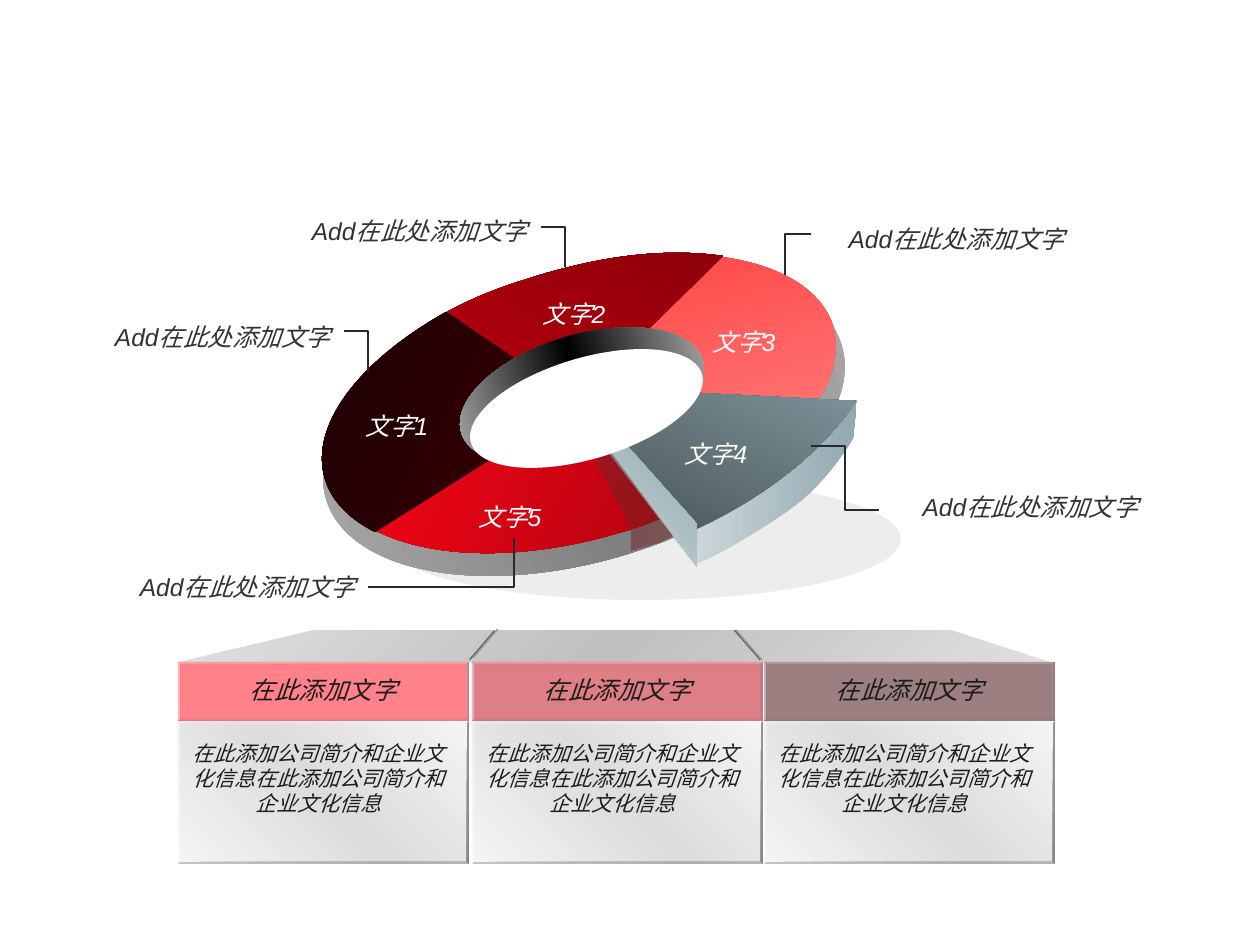
from math import cos, radians, sin

from lxml.etree import SubElement
from pptx import Presentation
from pptx.dml.color import RGBColor
from pptx.enum.shapes import MSO_CONNECTOR, MSO_SHAPE
from pptx.enum.text import MSO_AUTO_SIZE, PP_ALIGN
from pptx.oxml.ns import qn
from pptx.util import Pt

PIXEL = 914400 / 126
COLORS = {
    "shadow": "DDDDDD", "rim": "AEAEAE", "rim mid": "808080",
    "blue": "2791BB", "black": "000000", "white": "FFFFFF",
    "coral": "FF3B3B", "pink": "FF8282", "scarlet": "FF0517", "crimson": "B20310",
    "red": "BC000D", "dark red": "880009", "maroon": "3A0004", "deep maroon": "1B0002",
    "slate": "434E51", "steel": "90A8B0", "mist": "CDD7DB",
    "hole": "C1C1C1", "shade": "702424",
    "panel": "F4F4F4", "top": "DFDFDF", "top mid": "C0C0C0",
    "slice text": "FEFEFE", "label text": "333333", "panel text": "1C1C1C",
    "leader": "292929", "edge": "969696",
}


def emu(*lengths):
    return [round(length * PIXEL) for length in lengths]


def paint(shape, tones, angle=0, alpha=100):
    """Fill with one colour or with evenly spaced stops; no line, no shadow."""
    shape.shadow.inherit = False
    shape.line.fill.background()
    if len(tones) == 1:
        shape.fill.solid()
        shape.fill.fore_color.rgb = RGBColor.from_string(COLORS[tones[0]])
        tint = shape._element.spPr.find(".//" + qn("a:srgbClr"))
        if alpha < 100:
            SubElement(tint, qn("a:alpha"), val=str(alpha * 1000))
        return
    shape.fill.gradient()
    shape.fill.gradient_angle = (360 - angle) % 360
    stops = shape._element.spPr.find(".//" + qn("a:gsLst"))
    for stop in list(stops):
        stops.remove(stop)
    for index, tone in enumerate(tones):
        position = 100000 * index // (len(tones) - 1)
        stop = SubElement(stops, qn("a:gs"), pos=str(position))
        SubElement(stop, qn("a:srgbClr"), val=COLORS[tone])


deck = Presentation()
deck.slide_width, deck.slide_height = emu(1260, 945)
page = deck.slides.add_slide(deck.slide_layouts[6])
shapes = page.shapes

# Ring: a 4-tuple is an ellipse, a list is an outline whose
# 2-tuples are corners and 6-tuples are Bezier curves
TILT = 343.4
ring = [
    ((382, 478, 519, 122), 0, ["shadow"], 0, 50),
    ((315, 284, 538, 277), TILT, ["rim", "rim mid", "rim"], 0, 100),
    ((321, 269, 517, 266), TILT, ["blue", "black"], 315, 100),
    # Slices 3, 5, 2 and 1
    ([(703, 255), (772, 260, 820, 286, 833, 326), (840, 352, 833, 381, 811, 411),
      (578, 403)], TILT, ["coral", "pink"], 90, 100),
    ([(334, 493), (369, 554, 491, 571, 619, 533), (634, 529, 648, 524, 662, 518),
      (581, 403)], TILT, ["crimson", "scarlet"], 225, 100),
    ([(428, 323), (461, 302, 500, 286, 541, 275), (605, 255, 669, 248, 723, 256),
      (577, 399)], TILT, ["red", "dark red"], 315, 100),
    ([(446, 312), (357, 362, 309, 427, 325, 479), (331, 500, 349, 519, 375, 532),
      (580, 403)], TILT, ["maroon", "deep maroon"], 225, 100),
    # Pulled-out slice 4: outer wall, face, inner wall
    ([(694, 530), (857, 401), (853, 438), (843, 455, 823, 483, 798, 503),
      (771, 524, 712, 559, 696, 564), (693, 552, 694, 530, 694, 530)],
     0, ["mist", "steel"], 0, 100),
    ([(856, 401), (823, 452, 761, 501, 685, 534), (583, 387)],
     342.3, ["slate", "steel"], 315, 100),
    ([(697, 524), (697, 567), (600, 441), (615, 432)], 0, ["mist", "steel"], 315, 100),
    # Hole and the shade beside slice 4
    ((456, 335, 252, 123), TILT, ["hole", "black", "hole"], 0, 100),
    ([(592, 454), (631, 529), (631, 551), (659, 543), (673, 536), (610, 451)],
     0, ["shade"], 0, 50),
    ((466, 358, 241, 101), TILT, ["white"], 0, 100),
    # Top face of the panels
    ([(179, 662), (315, 630), (950, 630), (1050, 662)],
     0, ["top", "top mid", "top"], 45, 100),
]
for outline, turn, tones, angle, alpha in ring:
    if isinstance(outline, tuple):
        shape = shapes.add_shape(MSO_SHAPE.OVAL, *emu(*outline))
    else:
        points = [step[i:i + 2] for step in outline for i in range(0, len(step), 2)]
        # Turn the points back, then centre the box so rotation restores them
        c, s = cos(radians(turn)), sin(radians(turn))
        flat = [(x * c + y * s, y * c - x * s) for x, y in points]
        xs, ys = zip(*flat)
        mid_x, mid_y = (min(xs) + max(xs)) / 2, (min(ys) + max(ys)) / 2
        shift_x = mid_x * c - mid_y * s - mid_x
        shift_y = mid_x * s + mid_y * c - mid_y
        corners = [emu(x + shift_x, y + shift_y) for x, y in flat]
        builder = shapes.build_freeform(*corners[0])
        builder.add_line_segments(corners[1:], close=True)
        shape = builder.convert_to_shape()
        # Merge each three segments of a curve step into one Bezier
        segments = iter(shape._element.spPr.findall(".//" + qn("a:lnTo")))
        for step in outline[1:]:
            segment = next(segments)
            if len(step) == 6:
                segment.tag = qn("a:cubicBezTo")
                for _ in range(2):
                    extra = next(segments)
                    segment.append(extra[0])
                    extra.getparent().remove(extra)
    shape.rotation = turn
    paint(shape, tones, angle, alpha)

# Panels: body and header for each column
columns = [(178, "scarlet"), (472, "red"), (764, "maroon")]
for left, tone in columns:
    body = shapes.add_shape(MSO_SHAPE.BEVEL, *emu(left, 721, 291, 143))
    body.adjustments[0] = 0.016
    paint(body, ["panel", "shadow", "panel"], 315)
    header = shapes.add_shape(MSO_SHAPE.BEVEL, *emu(left, 662, 291, 59))
    header.adjustments[0] = 0.037
    paint(header, [tone], alpha=50)

# Text: slice names, labels, panel titles and panel notes
texts = []
slice_places = [(353, 405), (530, 293), (700, 321), (672, 433), (466, 496)]
for number, (left, top) in enumerate(slice_places, 1):
    texts.append((f"文字{number}", (left, top, 88, 42), "slice text", 14, PP_ALIGN.CENTER, True))
for place, align in [((811, 218, 291, 42), PP_ALIGN.CENTER),
                     ((73, 316, 270, 42), PP_ALIGN.RIGHT),
                     ((273, 210, 267, 42), PP_ALIGN.RIGHT),
                     ((885, 486, 291, 42), PP_ALIGN.CENTER),
                     ((116, 566, 252, 42), PP_ALIGN.RIGHT)]:
    texts.append(("Add在此处添加文字", place, "label text", 14, align, True))
for left, tone in columns:
    texts.append(("在此添加文字", (left + 59, 669, 173, 42),
                  "panel text", 14, PP_ALIGN.CENTER, False))
    texts.append(("在此添加公司简介和企业文化信息" * 2, (left, 734, 281, 88),
                  "panel text", 12, PP_ALIGN.CENTER, True))
for words, place, tone, size, align, wrap in texts:
    box = shapes.add_textbox(*emu(*place))
    box.text_frame.word_wrap = wrap
    box.text_frame.auto_size = MSO_AUTO_SIZE.SHAPE_TO_FIT_TEXT
    para = box.text_frame.paragraphs[0]
    para.alignment = align
    span = para.add_run()
    span.text = words
    for name, value in {"name": "Arial", "size": Pt(size), "italic": True}.items():
        setattr(span.font, name, value)
    span.font.color.rgb = RGBColor.from_string(COLORS[tone])

# Leader lines, then the two edges on the top face with their shadows
lines = [
    ((811, 234, 785, 275), "bentConnector2", "leader", None),
    ((344, 331, 368, 372), "bentConnector2", "leader", None),
    ((541, 227, 565, 267), "bentConnector2", "leader", None),
    ((879, 510, 811, 446), "bentConnector3", "leader", None),
    ((368, 587, 514, 538), "bentConnector2", "leader", None),
    ((473, 658, 498, 629), "line", "edge", (2.2, 153)),
    ((762, 660, 736, 630), "line", "edge", (1, 180)),
]
for ends, preset, tone, cast in lines:
    kind = MSO_CONNECTOR.STRAIGHT if preset == "line" else MSO_CONNECTOR.ELBOW
    line = shapes.add_connector(kind, *emu(*ends))
    line._element.spPr.find(qn("a:prstGeom")).set("prst", preset)
    line.line.color.rgb = RGBColor.from_string(COLORS[tone])
    line.line.width = Pt(0.75)
    effects = SubElement(line._element.spPr, qn("a:effectLst"))
    if cast:
        distance, direction = cast
        drop = SubElement(effects, qn("a:outerShdw"), dist=str(Pt(distance)),
                          dir=str(direction * 60000), algn="ctr", rotWithShape="0")
        tint = SubElement(drop, qn("a:srgbClr"), val=COLORS["black"])
        SubElement(tint, qn("a:alpha"), val="50000")

deck.save("out.pptx")
